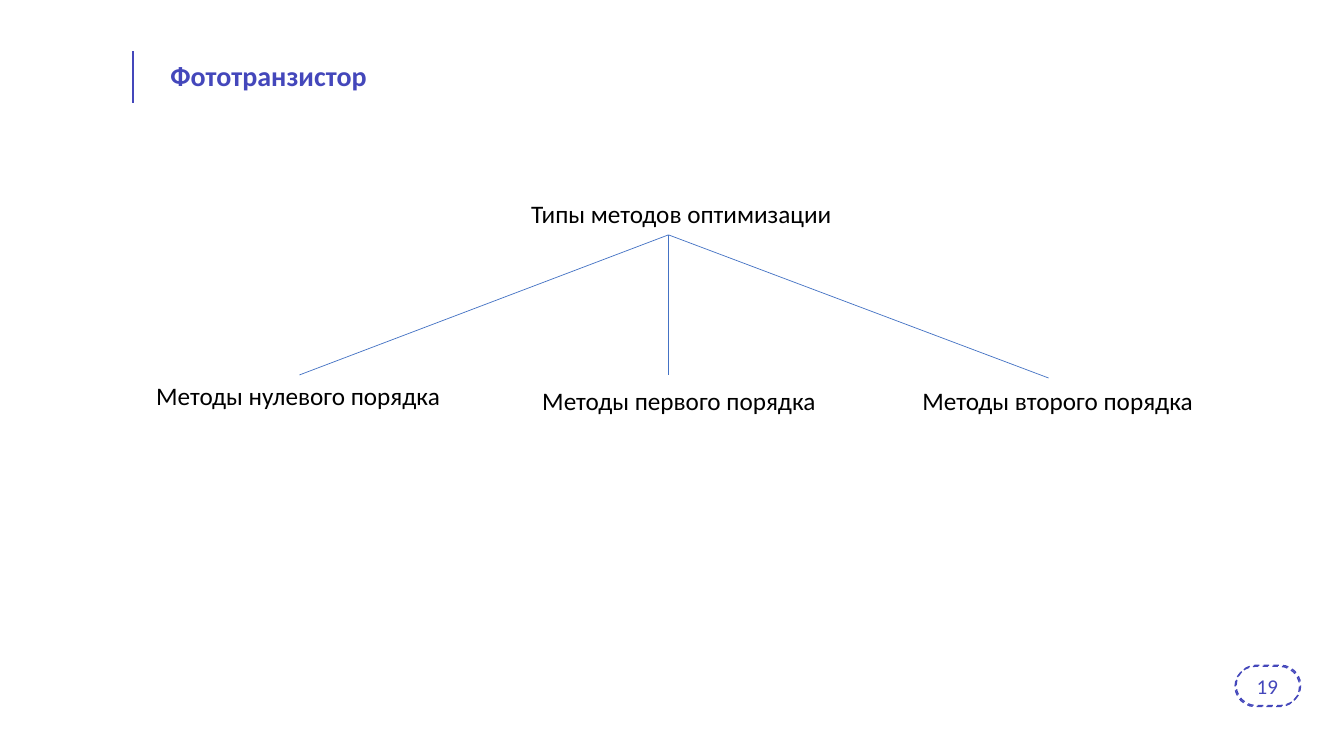
from dataclasses import dataclass

from lxml.etree import SubElement
from pptx import Presentation
from pptx.dml.color import RGBColor as RGB
from pptx.enum.dml import MSO_LINE as Dash
from pptx.enum.shapes import MSO_CONNECTOR as Conn, MSO_SHAPE as Shape
from pptx.enum.text import MSO_ANCHOR as Anchor, PP_ALIGN as Align
from pptx.oxml.ns import qn
from pptx.util import Inches, Pt


@dataclass(frozen=True)
class Theme:
    font: str = "Calibri"
    accent: RGB = RGB(0x44, 0x47, 0xBB)
    branch: RGB = RGB(0x44, 0x72, 0xC4)
    ink: RGB = RGB(0, 0, 0)
    title: int = 20
    body: int = 18
    page: int = 15


THEME = Theme()


def add_text(slide, text, box, size=THEME.body, color=THEME.ink, bold=False,
             align=Align.LEFT, anchor=Anchor.TOP, level=0, space=1.0):
    frame = slide.shapes.add_textbox(*map(Inches, box)).text_frame
    frame.word_wrap = True
    frame.vertical_anchor = anchor
    para = frame.paragraphs[0]
    para.alignment, para.level, para.line_spacing = align, level, space
    run = para.add_run()
    run.text = text
    font = run.font
    font.name, font.size, font.bold = THEME.font, Pt(size), bold
    font.color.rgb = color


def add_line(slide, start, end, color, width):
    line = slide.shapes.add_connector(
        Conn.STRAIGHT, *map(Inches, (*start, *end)))
    line.line.color.rgb = color
    line.line.width = Pt(width)
    SubElement(line._element.spPr, qn("a:effectLst"))


def add_pill(slide, box):
    pill = slide.shapes.add_shape(Shape.ROUNDED_RECTANGLE, *map(Inches, box))
    pill.adjustments[0] = 0.5
    pill.shadow.inherit = False
    pill.fill.background()
    pill.line.color.rgb = THEME.accent
    pill.line.width = Pt(1)
    pill.line.dash_style = Dash.DASH


def add_head(slide, text):
    add_line(slide, (1.32, 0.51), (1.32, 1.02), THEME.accent, 1.5)
    add_text(slide, text, (1.59, 0.39, 11.31, 0.75), size=THEME.title,
             color=THEME.accent, bold=True, anchor=Anchor.MIDDLE, space=0.9)


def add_page(slide, number):
    box = (12.25, 6.61, 0.64, 0.4)
    for place in ((12.26, 6.6, 0.64, 0.4), box):
        add_pill(slide, place)
    add_text(slide, number, box, size=THEME.page, color=THEME.accent,
             align=Align.CENTER, anchor=Anchor.MIDDLE)


def add_tree(slide):
    # Root and leaf labels
    add_text(slide, "Типы методов оптимизации", (5.17, 1.92, 4.88, 0.4))
    add_text(slide, "Методы нулевого порядка", (1.45, 3.72, 6.67, 0.4))
    for left, text in ((4.78, "Методы первого порядка"),
                       (8.55, "Методы второго порядка")):
        add_text(slide, text, (left, 3.62, 6.67, 0.51),
                 align=Align.JUSTIFY, level=1, space=1.5)

    # Branches from the root to each leaf
    for end in ((2.97, 3.72), (6.63, 3.72), (10.4, 3.75)):
        add_line(slide, (6.63, 2.33), end, THEME.branch, 0.5)


def main():
    deck = Presentation()
    deck.slide_width, deck.slide_height = Inches(13.33), Inches(7.5)
    slide = deck.slides.add_slide(deck.slide_layouts[6])
    add_head(slide, "Фототранзистор")
    add_page(slide, "19")
    add_tree(slide)
    deck.save("out.pptx")


if __name__ == "__main__":
    main()
